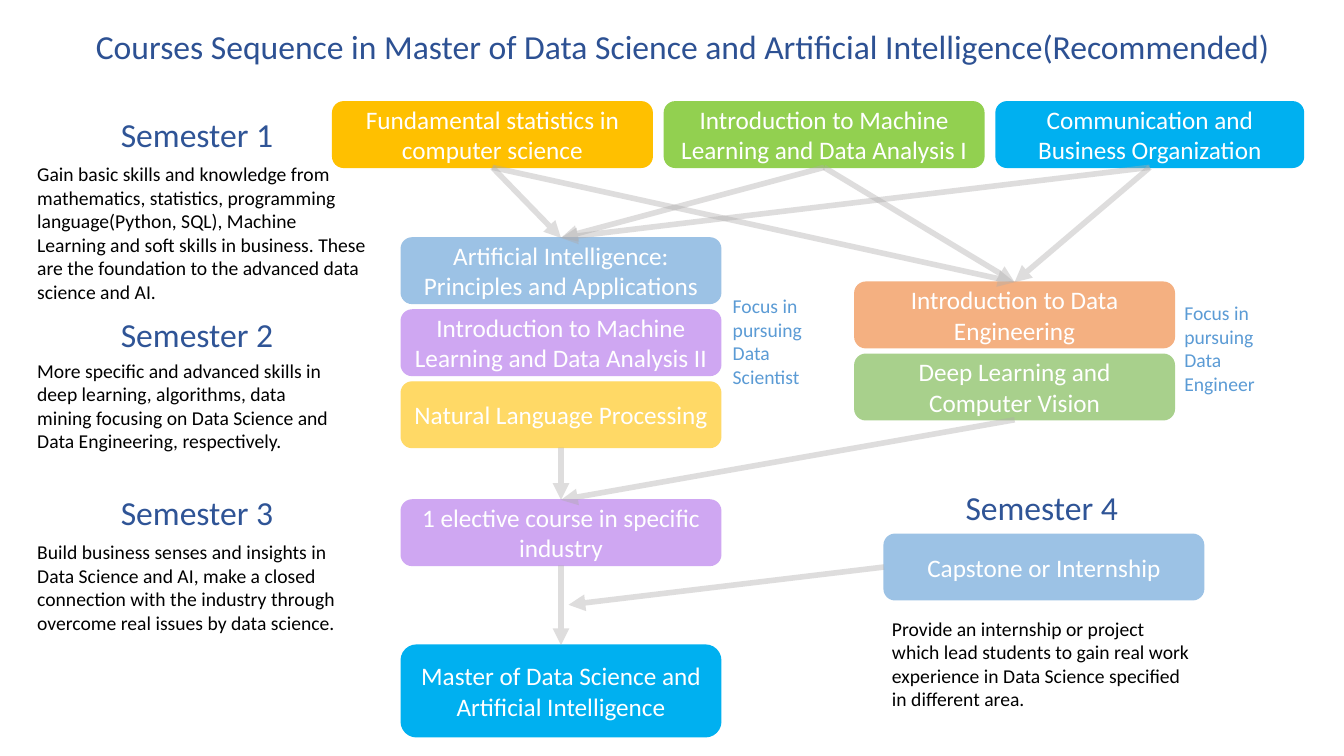
from lxml import etree
from pptx import Presentation
from pptx import util as u
from pptx.dml.color import RGBColor
from pptx.enum import shapes, text
from pptx.oxml.ns import qn

WHITE = RGBColor(0xFF, 0xFF, 0xFF)
BLACK = RGBColor(0x00, 0x00, 0x00)
NAVY = RGBColor(0x2F, 0x54, 0x96)
TITLE_BLUE = RGBColor(0x2D, 0x51, 0x93)
FOCUS_BLUE = RGBColor(0x5B, 0x9B, 0xD5)
SKY = RGBColor(0x00, 0xB0, 0xF0)
PALE_BLUE = RGBColor(0x9C, 0xC2, 0xE5)
GOLD = RGBColor(0xFF, 0xC0, 0x00)
PALE_GOLD = RGBColor(0xFF, 0xD9, 0x66)
GREEN = RGBColor(0x92, 0xD0, 0x50)
PALE_GREEN = RGBColor(0xA8, 0xD0, 0x8C)
ORANGE = RGBColor(0xF4, 0xB0, 0x81)
LILAC = RGBColor(0xCF, 0xA7, 0xF2)
GREY = RGBColor(0xAE, 0xAB, 0xAB)

# All places and sizes are percentages of the slide's width and height
BOX_W, BOX_H = 23.78, 8.67
HEAD_W, HEAD_H = 12.98, 6.67
NOTE_W, NOTE_H = 24.08, 13.87
FOCUS_W = 7.35
TOP_X, TOP_Y, TOP_STEP = 24.75, 13.47, 24.68
SCIENCE_X, SCIENCE_Y = 29.85, 31.47
ENGINEER_X, ENGINEER_Y = 63.6, 37.33
STACK_STEP = 9.53
HEAD_X, NOTE_X = 8.25, 2.03
TOP, LEFT, BOTTOM = 0, 1, 2


class Chart:
    """Style and current slide of the course chart."""
    font = "Calibri"

    def __init__(self, prs):
        self.w, self.h = prs.slide_width, prs.slide_height
        self.s = prs.slides.add_slide(prs.slide_layouts[5])

    def at(self, x, y):
        return int(self.w * x / 100), int(self.h * y / 100)

    def set_words(self, sp, words, size, color, align, anchor):
        tf = sp.text_frame
        tf.text = words
        tf.word_wrap = True
        tf.vertical_anchor = anchor
        p = tf.paragraphs[0]
        p.alignment = align
        r = p.runs[0]
        r.font.name, r.font.size = self.font, u.Pt(size)
        r.font.color.rgb = color

    def set_label(self, sp, words, size, color):
        self.set_words(sp, words, size, color, text.PP_ALIGN.LEFT, text.MSO_ANCHOR.TOP)
        sp.text_frame.auto_size = text.MSO_AUTO_SIZE.SHAPE_TO_FIT_TEXT

    def title(self, words, x, y, w, h):
        sp = self.s.shapes.title
        sp.left, sp.top = self.at(x, y)
        sp.width, sp.height = self.at(w, h)
        self.set_label(sp, words, 24, TITLE_BLUE)

    def label(self, words, x, y, w, h, size=14, color=BLACK):
        sp = self.s.shapes.add_textbox(*self.at(x, y), *self.at(w, h))
        self.set_label(sp, words, size, color)

    def heading(self, number, x, y):
        self.label(f"Semester {number}", x, y, HEAD_W, HEAD_H, 24, NAVY)

    def course(self, words, color, x, y, w=BOX_W, h=BOX_H):
        sp = self.s.shapes.add_shape(shapes.MSO_SHAPE.ROUNDED_RECTANGLE,
                                     *self.at(x, y), *self.at(w, h))
        sp.shadow.inherit = False
        sp.fill.solid()
        sp.fill.fore_color.rgb = color
        sp.line.color.rgb = color
        sp.line.width = u.Pt(1)
        self.set_words(sp, words, 18, WHITE, text.PP_ALIGN.CENTER, text.MSO_ANCHOR.MIDDLE)
        return sp

    def stack(self, courses, x, y):
        return [self.course(words, color, x, y + i * STACK_STEP)
                for i, (words, color) in enumerate(courses)]

    def arrow(self, start, end=None, side=BOTTOM, point=(0, 0)):
        """Arrow from a side of start to the top of end, or to a free point."""
        cx = self.s.shapes.add_connector(shapes.MSO_CONNECTOR.STRAIGHT,
                                         0, 0, *self.at(*point))
        cx.begin_connect(start, side)
        if end is not None:
            cx.end_connect(end, TOP)
        cx.line.color.rgb = GREY
        cx.line.width = u.Pt(4)
        ln = cx.element.find(".//" + qn("a:ln"))
        tint = ln.find(".//" + qn("a:srgbClr"))
        etree.SubElement(tint, qn("a:alpha"), val="40000")
        etree.SubElement(ln, qn("a:tailEnd"), type="triangle")
        etree.SubElement(ln.getparent(), qn("a:effectLst"))


def main():
    prs = Presentation()
    prs.slide_width, prs.slide_height = u.Inches(13.33), u.Inches(7.5)
    c = Chart(prs)
    c.title("Courses Sequence in Master of Data Science and Artificial "
            "Intelligence(Recommended)", 6.38, 2.8, 90.3, HEAD_H)

    # Semester 1 courses
    first = [c.course(words, color, TOP_X + i * TOP_STEP, TOP_Y, w)
             for i, (words, color, w) in enumerate([
                 ("Fundamental statistics in computer science", GOLD, BOX_W),
                 ("Introduction to Machine Learning and Data Analysis I", GREEN, BOX_W),
                 ("Communication and Business Organization", SKY, 22.88)])]

    # Semester 2 tracks
    science = c.stack([
        ("Artificial Intelligence: Principles and Applications", PALE_BLUE),
        ("Introduction to Machine Learning and Data Analysis II", LILAC),
        ("Natural Language Processing", PALE_GOLD)], SCIENCE_X, SCIENCE_Y)
    engineer = c.stack([
        ("Introduction to Data Engineering", ORANGE),
        ("Deep Learning and Computer Vision", PALE_GREEN)], ENGINEER_X, ENGINEER_Y)

    # Semesters 3 and 4, and the degree
    elective = c.course("1 elective course in specific industry", LILAC, SCIENCE_X, 66.13)
    degree = c.course("Master of Data Science and Artificial Intelligence", SKY,
                      SCIENCE_X, 85.33, h=12.13)
    capstone = c.course("Capstone or Internship", PALE_BLUE, 65.78, 70.67)

    # Arrows
    for track in (science, engineer):
        for course in first:
            c.arrow(course, track[0])
    for start, end in ((science[-1], elective), (engineer[-1], elective),
                       (elective, degree)):
        c.arrow(start, end)
    c.arrow(capstone, side=LEFT, point=(42.3, 80))

    # Semester headings
    for number, x, y in ((1, HEAD_X, 14.4), (2, HEAD_X, 40.93),
                         (3, HEAD_X, 64.4), (4, 71.1, 63.73)):
        c.heading(number, x, y)

    # Semester descriptions
    c.label("Gain basic skills and knowledge from mathematics, statistics, programming "
            "language(Python, SQL), Machine Learning and soft skills in business. These "
            "are the foundation to the advanced data science and AI.",
            NOTE_X, 20.8, 26.03, 20.13)
    for words, x, y in (
            ("More specific and advanced skills in deep learning, algorithms, data mining "
             "focusing on Data Science and Data Engineering, respectively.", NOTE_X, 46.8),
            ("Build business senses and insights in Data Science and AI, make a closed "
             "connection with the industry through overcome real issues by data science.",
             NOTE_X, 70.8),
            ("Provide an internship or project which lead students to gain real work "
             "experience in Data Science specified in different area.", 65.63, 80.93)):
        c.label(words, x, y, NOTE_W, NOTE_H)

    # Track notes
    for role, x, y in (("Scientist", 53.78, 38.27), ("Engineer", 87.38, 39.2)):
        c.label(f"Focus in pursuing Data {role}", x, y, FOCUS_W, NOTE_H, color=FOCUS_BLUE)

    prs.save("out.pptx")


if __name__ == "__main__":
    main()
